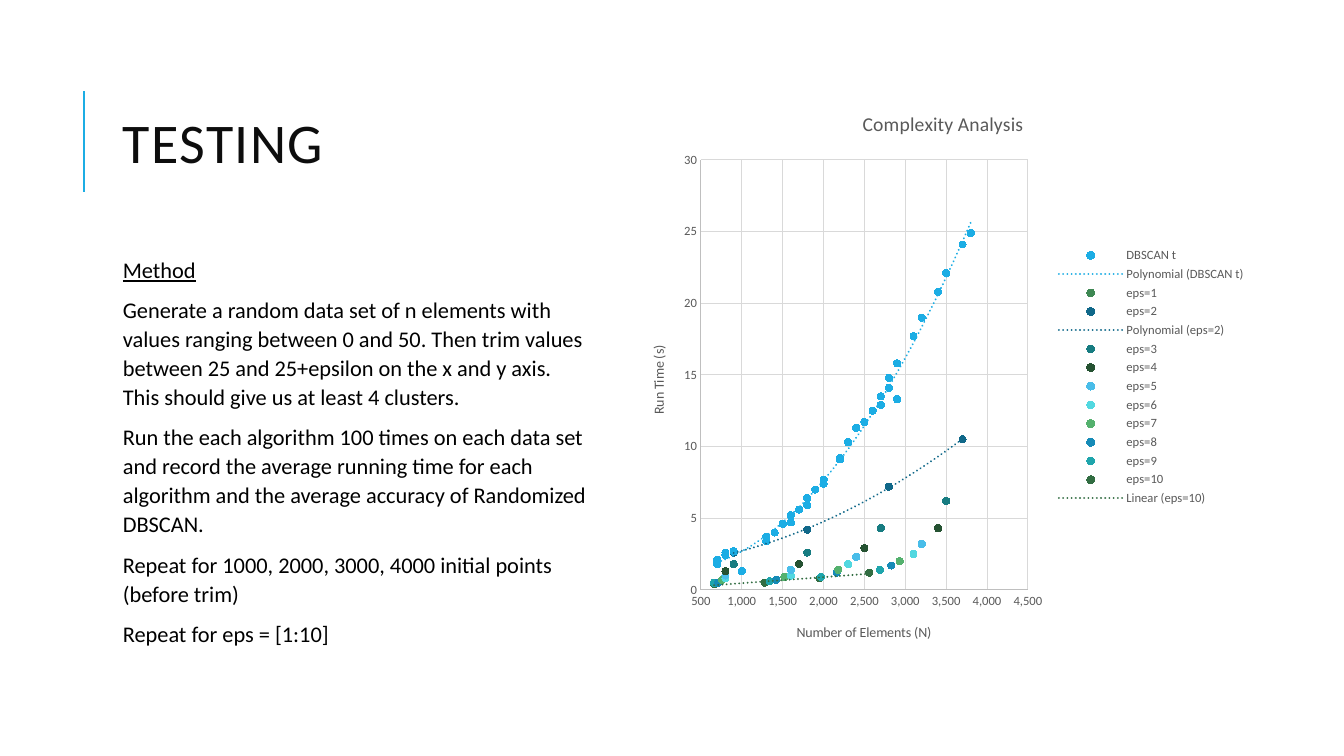
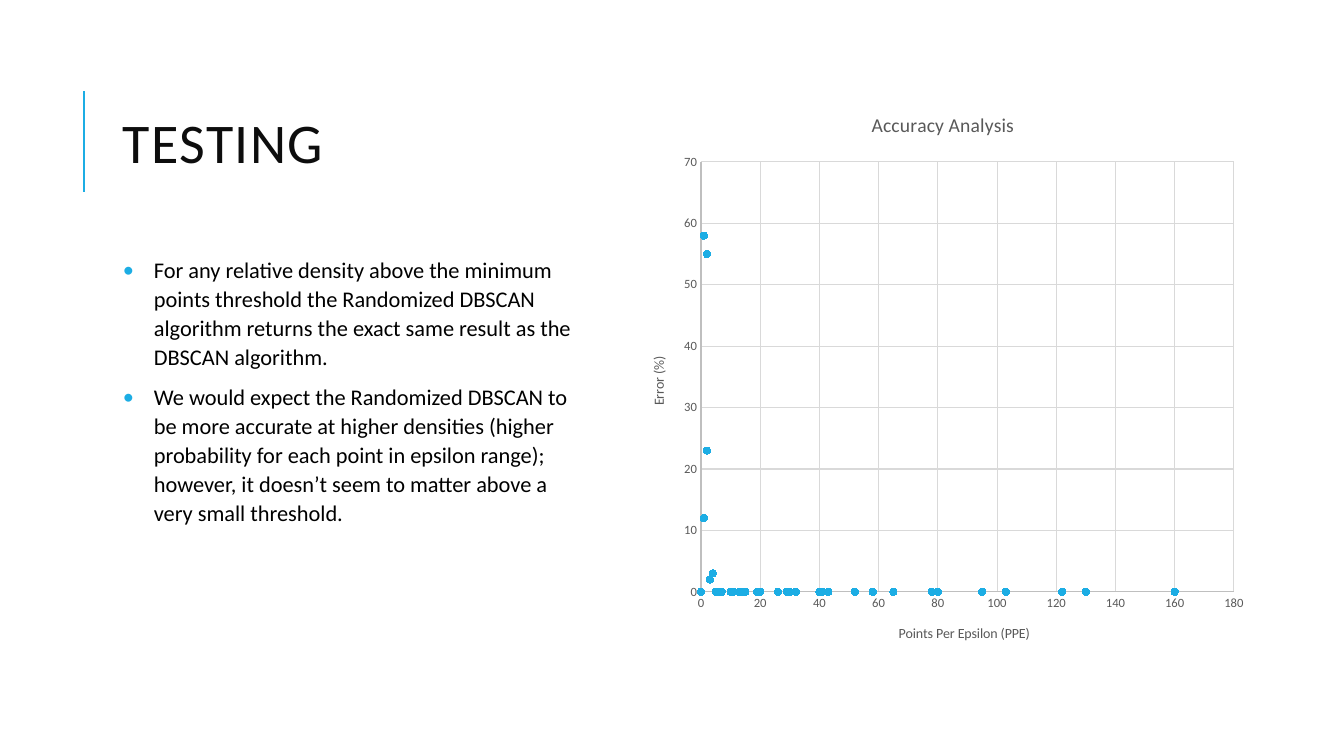
from lxml import etree
from pptx import Presentation
from pptx.chart.data import XyChartData
from pptx.dml.color import RGBColor
from pptx.enum.chart import XL_CHART_TYPE, XL_LEGEND_POSITION, XL_MARKER_STYLE, XL_TICK_MARK
from pptx.enum.shapes import MSO_CONNECTOR
from pptx.enum.text import MSO_ANCHOR
from pptx.oxml import parse_xml
from pptx.oxml.ns import nsdecls, qn
from pptx.util import Emu, Pt

SCATTER = XL_CHART_TYPE.XY_SCATTER
LEGEND_RIGHT = XL_LEGEND_POSITION.RIGHT
CIRCLE = XL_MARKER_STYLE.CIRCLE
NO_TICK = XL_TICK_MARK.NONE
STRAIGHT = MSO_CONNECTOR.STRAIGHT
MIDDLE = MSO_ANCHOR.MIDDLE
TOP = MSO_ANCHOR.TOP

FONT = "Calibri"
BLACK = RGBColor(0x00, 0x00, 0x00)
TITLE_INK = RGBColor(0x0D, 0x0D, 0x0D)
CHART_INK = RGBColor(0x59, 0x59, 0x59)
AXIS_GRAY = RGBColor(0xBF, 0xBF, 0xBF)
GRID_GRAY = RGBColor(0xD9, 0xD9, 0xD9)
ACCENT = RGBColor(0x1C, 0xAD, 0xE4)
EPS_COLORS = [RGBColor.from_string(code) for code in (
    "3E8853", "106889", "177C81", "255232", "49BDE9",
    "52D8E0", "54B16E", "168BB7", "1FA5AC", "326D42")]

SLIDE_SIZE = (1344, 756)
TITLE_BOX = (113, 52, 484, 190)
BODY_BOX = (113, 249, 484, 414)
CHART_BOX = (630, 91, 626, 572)
RULE = (84, 192, 84, 91)
BULLET_INDENT = 31

METHOD = [
    "Method",
    "Generate a random data set of n elements with values ranging between 0 and 50. "
    "Then trim values between 25 and 25+epsilon on the x and y axis. "
    "This should give us at least 4 clusters.",
    "Run the each algorithm 100 times on each data set and record the average running time "
    "for each algorithm and the average accuracy of Randomized DBSCAN.",
    "Repeat for 1000, 2000, 3000, 4000 initial points (before trim)",
    "Repeat for eps = [1:10]",
]
FINDINGS = [
    "For any relative density above the minimum points threshold the Randomized DBSCAN "
    "algorithm returns the exact same result as the DBSCAN algorithm.",
    "We would expect the Randomized DBSCAN to be more accurate at higher densities "
    "(higher probability for each point in epsilon range); however, it doesn’t seem to "
    "matter above a very small threshold.",
]

ELEMENTS = [
    [960, 920, 880, 840, 820, 780, 760, 710, 660, 660],
    [1920, 1850, 1770, 1710, 1650, 1550, 1520, 1420, 1340, 1280],
    [2890, 2800, 2680, 2530, 2450, 2320, 2180, 2160, 1970, 1950],
    [3840, 3700, 3530, 3410, 3250, 3120, 2930, 2830, 2690, 2560],
]
DBSCAN_TIMES = [
    [1.3, 2.7, 2.7, 2.6, 2.5, 2.5, 2.4, 2.1, 1.9, 1.8],
    [7, 6.4, 5.9, 5.6, 5.2, 4.7, 4.6, 4, 3.7, 3.4],
    [13.3, 14.1, 12.9, 11.7, 11.3, 10.3, 9.2, 9.1, 7.7, 7.4],
    [24.9, 24.1, 22.1, 20.8, 19, 17.7, 15.8, 14.8, 13.5, 12.5],
]
RANDOMIZED_TIMES = [
    [1.3, 2.6, 1.8, 1.3, 1, 0.8, 0.7, 0.5, 0.5, 0.4],
    [7, 4.2, 2.6, 1.8, 1.4, 1, 0.9, 0.7, 0.6, 0.5],
    [13.3, 7.2, 4.3, 2.9, 2.3, 1.8, 1.4, 1.2, 0.9, 0.8],
    [24.9, 10.5, 6.2, 4.3, 3.2, 2.5, 2, 1.7, 1.4, 1.2],
]
ERRORS = {(0, 2): 23, (0, 3): 3, (1, 1): 12, (1, 2): 2, (2, 1): 58, (3, 1): 55}
LAST_COARSE_EPS = 6


def rounded_pairs(sizes, times, digits):
    return [(round(size, digits), time) for size, time in zip(sizes, times)]


dbscan_points = [pair for sizes, times in zip(ELEMENTS, DBSCAN_TIMES)
                 for pair in rounded_pairs(sizes, times, -2)]
complexity_series = [("DBSCAN t", ACCENT, dbscan_points, "poly")]
eps_trends = {2: "poly", 10: "linear"}
eps_columns = zip(EPS_COLORS, zip(*ELEMENTS), zip(*RANDOMIZED_TIMES))
for eps, (color, sizes, times) in enumerate(eps_columns, 1):
    points = rounded_pairs(sizes, times, -2 if eps <= LAST_COARSE_EPS else -1)
    complexity_series.append((f"eps={eps}", color, points, eps_trends.get(eps)))

accuracy_points = [
    (round(count * eps ** 2 / (50 - eps) ** 2), ERRORS.get((run, eps), 0))
    for run, counts in enumerate(ELEMENTS) for eps, count in enumerate(counts, 1)]

SLIDES = [
    dict(body=METHOD, bulleted=False, title="Complexity Analysis", title_at=(859, 107),
         plot=(701, 160, 327, 430), series=complexity_series, legend=True,
         x_axis=("Number of Elements (N)", (794, 621), 500, 4500, 500, "#,##0"),
         y_axis=("Run Time (s)", (647, 343), 0, 30, 5, "General")),
    dict(body=FINDINGS, bulleted=True, title="Accuracy Analysis", title_at=(868, 108),
         plot=(701, 162, 533, 430), legend=False,
         series=[("Series 1", ACCENT, accuracy_points, None)],
         x_axis=("Points Per Epsilon (PPE)", (896, 622), 0, 180, 20, "General"),
         y_axis=("Error (%)", (647, 354), 0, 70, 10, "General")),
]

deck = Presentation()
SCALE = 12192000 / SLIDE_SIZE[0]


def emu(*pixels):
    return [Emu(round(value * SCALE)) for value in pixels]


def style_font(font, size, color):
    font.name, font.size = FONT, Pt(size)
    font.color.rgb = color


def add_text(page, area, lines, size, color, anchor, spacing, bulleted=False):
    box = page.shapes.add_textbox(*emu(*area))
    frame = box.text_frame
    frame.word_wrap = True
    frame.vertical_anchor = anchor
    for number, line in enumerate(lines):
        para = frame.add_paragraph() if number else frame.paragraphs[0]
        para.line_spacing = spacing
        if anchor == TOP:
            para.space_before, para.space_after = Pt(6), Pt(2)
        if bulleted:
            add_bullet(para)
        para.add_run().text = line
        style_font(para.font, size, color)
    return frame.paragraphs


def add_bullet(para):
    properties = para._p.get_or_add_pPr()
    indent, = emu(BULLET_INDENT)
    properties.set("marL", str(indent))
    properties.set("indent", str(-indent))
    color = etree.SubElement(properties, qn("a:buClr"))
    etree.SubElement(color, qn("a:srgbClr")).set("val", str(ACCENT))
    etree.SubElement(properties, qn("a:buFont")).set("typeface", FONT)
    etree.SubElement(properties, qn("a:buChar")).set("char", "•")


def place(element, index, left, top, width=None, height=None):
    for old in element.findall(qn("c:layout")):
        element.remove(old)
    layout = etree.Element(qn("c:layout"))
    manual = etree.SubElement(layout, qn("c:manualLayout"))
    chart_left, chart_top, chart_width, chart_height = CHART_BOX
    settings = [("xMode", "edge"), ("yMode", "edge"),
                ("x", (left - chart_left) / chart_width), ("y", (top - chart_top) / chart_height)]
    if width:
        settings.insert(0, ("layoutTarget", "inner"))
        settings += [("w", width / chart_width), ("h", height / chart_height)]
    for name, value in settings:
        etree.SubElement(manual, qn("c:" + name)).set("val", str(value))
    element.insert(index, layout)


def set_title(title, text, at, size):
    para = title.text_frame.paragraphs[0]
    para.add_run().text = text
    style_font(para.font, size, CHART_INK)
    para.font.bold = False
    place(title._element, 1, *at)


def style_axis(axis, text, at, low, high, step, number_format):
    axis.minimum_scale, axis.maximum_scale, axis.major_unit = low, high, step
    axis.major_tick_mark = axis.minor_tick_mark = NO_TICK
    axis.has_major_gridlines = True
    for line, color in ((axis.format.line, AXIS_GRAY), (axis.major_gridlines.format.line, GRID_GRAY)):
        line.color.rgb, line.width = color, Pt(0.75)
    style_font(axis.tick_labels.font, 9, CHART_INK)
    axis.tick_labels.number_format = number_format
    axis.tick_labels.number_format_is_linked = False
    axis.has_title = True
    set_title(axis.axis_title, text, at, 10)


def add_trend(series, kind, color):
    order = '<c:order val="2"/>' if kind == "poly" else ""
    trend = parse_xml(
        f'<c:trendline {nsdecls("c", "a")}><c:spPr><a:ln w="{Pt(1.5)}" cap="rnd"><a:solidFill>'
        f'<a:srgbClr val="{color}"/></a:solidFill><a:prstDash val="sysDot"/></a:ln></c:spPr>'
        f'<c:trendlineType val="{kind}"/>{order}'
        '<c:dispRSqr val="0"/><c:dispEq val="0"/></c:trendline>')
    series._element.find(qn("c:xVal")).addprevious(trend)


def add_scatter(page, content):
    data = XyChartData()
    for name, _, points, _ in content["series"]:
        entry = data.add_series(name)
        for x, y in points:
            entry.add_data_point(x, y)
    chart = page.shapes.add_chart(SCATTER, *emu(*CHART_BOX), data).chart
    style_font(chart.font, 10, BLACK)
    chart.plots[0].vary_by_categories = False
    for series, (_, color, _, trend) in zip(chart.plots[0].series, content["series"]):
        series.format.line.fill.background()
        series.marker.style, series.marker.size = CIRCLE, 5
        series.marker.format.fill.solid()
        series.marker.format.fill.fore_color.rgb = color
        series.marker.format.line.color.rgb = color
        if trend:
            add_trend(series, trend, color)
    style_axis(chart.category_axis, *content["x_axis"])
    style_axis(chart.value_axis, *content["y_axis"])
    chart.has_title = True
    set_title(chart.chart_title, content["title"], content["title_at"], 14)
    chart.has_legend = content["legend"]
    if chart.has_legend:
        chart.legend.position = LEGEND_RIGHT
        chart.legend.include_in_layout = False
        style_font(chart.legend.font, 9, CHART_INK)
    place(chart._chartSpace.find(".//" + qn("c:plotArea")), 0, *content["plot"])


def add_page(content):
    page = deck.slides.add_slide(deck.slide_layouts[6])
    rule = page.shapes.add_connector(STRAIGHT, *emu(*RULE))
    rule.line.color.rgb, rule.line.width = ACCENT, Pt(1.5)
    etree.SubElement(rule._element.spPr, qn("a:effectLst"))
    heading = add_text(page, TITLE_BOX, ["TESTING"], 40, TITLE_INK, MIDDLE, 0.8)[0]
    heading.runs[0].font._element.set("spc", "100")
    lines = add_text(page, BODY_BOX, content["body"], 16, BLACK, TOP, 1.08, content["bulleted"])
    if not content["bulleted"]:
        lines[0].runs[0].font.underline = True
    add_scatter(page, content)


deck.slide_width, deck.slide_height = emu(*SLIDE_SIZE)
for content in SLIDES:
    add_page(content)
deck.save("out.pptx")
